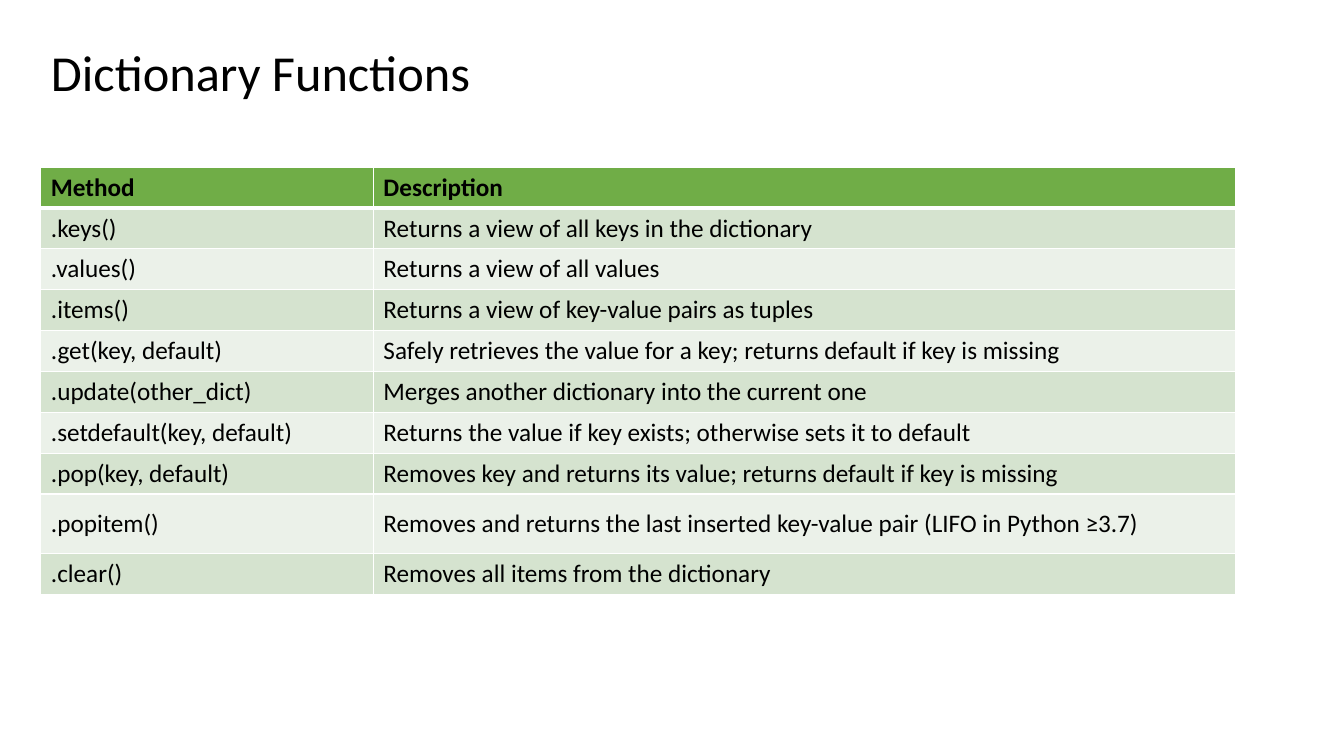
"""Build a slide with a table of Python dictionary methods."""
from lxml.etree import SubElement
from pptx import Presentation
from pptx.dml.color import RGBColor
from pptx.enum.text import MSO_ANCHOR, PP_ALIGN
from pptx.oxml.ns import qn
from pptx.util import Cm, Pt

TITLE = "Dictionary Functions"
ROWS = [
    ("Method", "Description"),
    (".keys()", "Returns a view of all keys in the dictionary"),
    (".values()", "Returns a view of all values"),
    (".items()", "Returns a view of key-value pairs as tuples"),
    (".get(key, default)", "Safely retrieves the value for a key; returns default if key is missing"),
    (".update(other_dict)", "Merges another dictionary into the current one"),
    (".setdefault(key, default)", "Returns the value if key exists; otherwise sets it to default"),
    (".pop(key, default)", "Removes key and returns its value; returns default if key is missing"),
    (".popitem()", "Removes and returns the last inserted key-value pair (LIFO in Python ≥3.7)"),
    (".clear()", "Removes all items from the dictionary"),
]
FONT = "Calibri"
BLACK, WHITE = "000000", "FFFFFF"
HEADER_FILL = "70AD47"
BAND_FILLS = ("EBF1E9", "D5E3CF")
LEFT, TABLE_TOP = 1.03, 4.21
COLUMN_WIDTHS = (8.38, 21.74)
ROW_HEIGHT, TALL_ROW_HEIGHT = 1.03, 1.5
TALL_METHOD = ".popitem()"


def color(value):
    return RGBColor.from_string(value)


def format_text(text_frame, size, bold=False):
    text_frame.vertical_anchor = MSO_ANCHOR.MIDDLE
    for paragraph in text_frame.paragraphs:
        paragraph.alignment = PP_ALIGN.LEFT
        for run in paragraph.runs:
            run.font.name = FONT
            run.font.size = Pt(size)
            run.font.bold = bold
            run.font.color.rgb = color(BLACK)


def add_borders(cell, bottom_width, top_width):
    properties = cell._tc.get_or_add_tcPr()
    widths = {"a:lnL": 1, "a:lnR": 1, "a:lnT": top_width, "a:lnB": bottom_width}
    for tag, width in widths.items():
        line = SubElement(properties, qn(tag), w=str(Pt(width)))
        fill = SubElement(line, qn("a:solidFill"))
        SubElement(fill, qn("a:srgbClr"), val=WHITE)


def add_title(slide):
    title = slide.shapes.title
    title.left, title.top = Cm(LEFT), Cm(0.61)
    title.width, title.height = Cm(29.21), Cm(2.59)
    title.text_frame.text = TITLE
    title.text_frame.paragraphs[0].line_spacing = 0.9
    format_text(title.text_frame, 36)


def add_method_table(slide):
    heights = [TALL_ROW_HEIGHT if method == TALL_METHOD else ROW_HEIGHT for method, _ in ROWS]
    table = slide.shapes.add_table(
        len(ROWS), len(COLUMN_WIDTHS), Cm(LEFT), Cm(TABLE_TOP),
        Cm(sum(COLUMN_WIDTHS)), Cm(sum(heights)),
    ).table
    for column, width in zip(table.columns, COLUMN_WIDTHS):
        column.width = Cm(width)
    for index, (row, texts) in enumerate(zip(table.rows, ROWS)):
        row.height = Cm(heights[index])
        is_header = index == 0
        for cell, text in zip(row.cells, texts):
            add_borders(cell, 3 if is_header else 1, 3 if index == 1 else 1)
            cell.fill.solid()
            cell.fill.fore_color.rgb = color(HEADER_FILL if is_header else BAND_FILLS[index % 2])
            cell.text_frame.text = text
            format_text(cell.text_frame, 18, is_header)
            cell.vertical_anchor = MSO_ANCHOR.MIDDLE


def main():
    presentation = Presentation()
    presentation.slide_width, presentation.slide_height = Cm(33.87), Cm(19.05)
    slide = presentation.slides.add_slide(presentation.slide_layouts[5])
    add_title(slide)
    add_method_table(slide)
    presentation.save("out.pptx")


if __name__ == "__main__":
    main()
